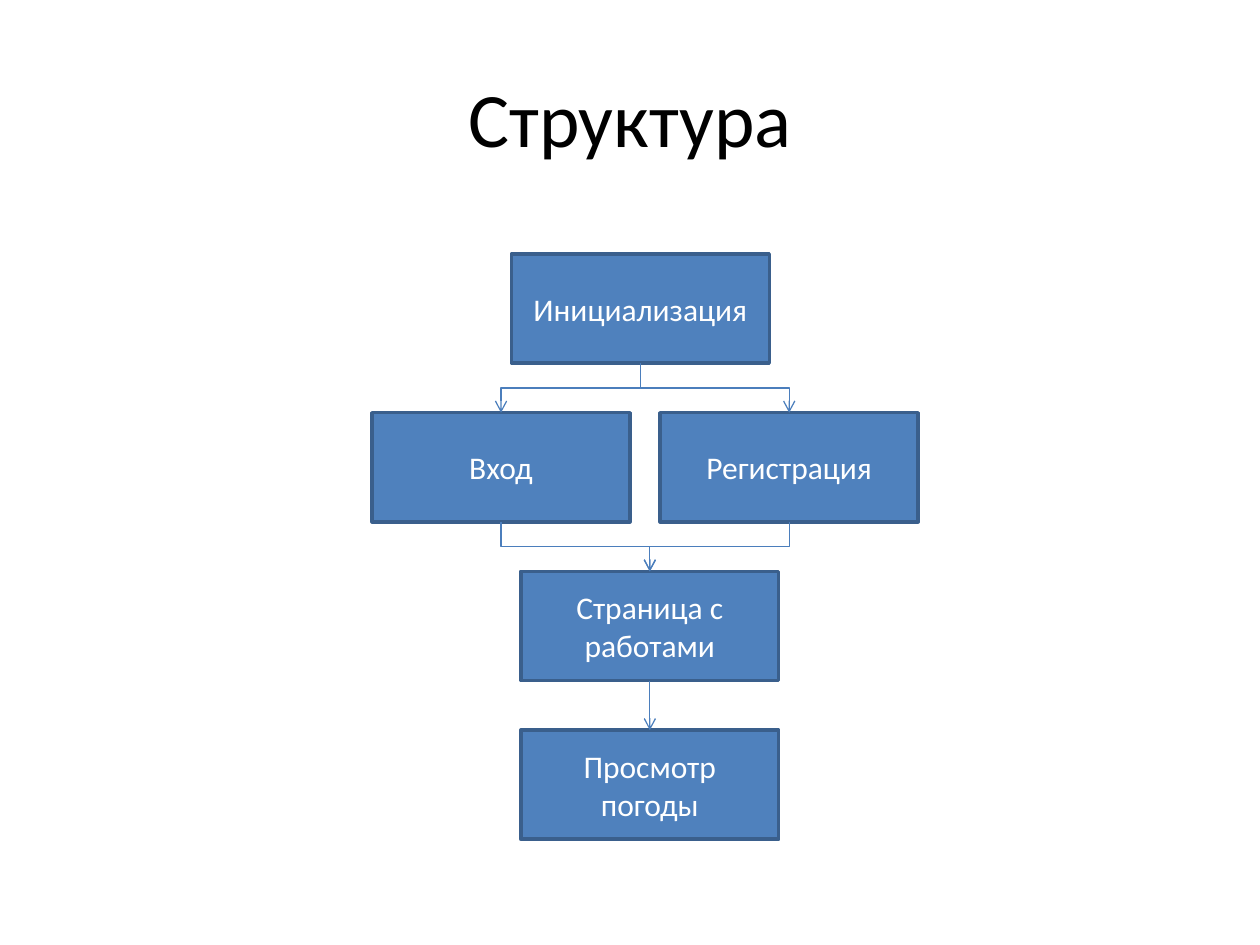
from dataclasses import dataclass

from lxml import etree
from pptx import Presentation
from pptx.dml.color import RGBColor
from pptx.enum.shapes import MSO_CONNECTOR, MSO_SHAPE
from pptx.enum.text import MSO_ANCHOR, PP_ALIGN
from pptx.oxml.ns import qn
from pptx.util import Cm, Pt

RECTANGLE = MSO_SHAPE.RECTANGLE
ELBOW = MSO_CONNECTOR.ELBOW
CENTER = PP_ALIGN.CENTER
MIDDLE = MSO_ANCHOR.MIDDLE
TOP_SIDE, BOTTOM_SIDE = 0, 2
TITLE_ONLY = 5

BOX_WIDTH, BOX_HEIGHT = 5.2, 2.2
FIRST_ROW, ROW_STEP = 5.12, 3.2


@dataclass(frozen=True)
class Theme:
    font: str = "Calibri"
    title_size: int = 44
    box_size: int = 18
    title_color: str = "000000"
    box_text: str = "FFFFFF"
    box_fill: str = "4F81BD"
    box_border: str = "3A5F8C"
    arrow: str = "4B7EBC"
    border_width: float = 2
    arrow_width: float = 0.75


def write_text(frame, text, *, font, size, color):
    frame.word_wrap = True
    frame.vertical_anchor = MIDDLE
    para = frame.paragraphs[0]
    para.alignment = CENTER
    span = para.add_run()
    span.text = text
    span.font.name = font
    span.font.size = Pt(size)
    span.font.color.rgb = RGBColor.from_string(color)


class FlowPage:
    def __init__(self, page, theme):
        self.page = page
        self.theme = theme

    def title(self, text):
        holder = self.page.shapes.title
        holder.left, holder.top = Cm(1.27), Cm(0.76)
        holder.width, holder.height = Cm(22.86), Cm(3.18)
        write_text(holder.text_frame, text, font=self.theme.font,
                   size=self.theme.title_size, color=self.theme.title_color)

    def box(self, text, left, row):
        theme = self.theme
        box = self.page.shapes.add_shape(
            RECTANGLE, Cm(left), Cm(FIRST_ROW + row * ROW_STEP),
            Cm(BOX_WIDTH), Cm(BOX_HEIGHT))
        box.shadow.inherit = False
        box.fill.solid()
        box.fill.fore_color.rgb = RGBColor.from_string(theme.box_fill)
        box.line.color.rgb = RGBColor.from_string(theme.box_border)
        box.line.width = Pt(theme.border_width)
        write_text(box.text_frame, text, font=theme.font,
                   size=theme.box_size, color=theme.box_text)
        return box

    def arrow(self, upper, lower):
        """Join two boxes by an elbow that leaves downwards and enters from above."""
        arrow = self.page.shapes.add_connector(ELBOW, 0, 0, 0, 0)
        arrow.begin_connect(upper, BOTTOM_SIDE)
        arrow.end_connect(lower, TOP_SIDE)
        start_x = upper.left + upper.width // 2
        start_y = upper.top + upper.height
        across = lower.left + lower.width // 2 - start_x
        down = lower.top - start_y

        # An elbow runs sideways first, so it is turned a quarter about its centre.
        arrow.width, arrow.height = down, abs(across)
        arrow.left = start_x + (across - down) // 2
        arrow.top = start_y + (down - abs(across)) // 2
        properties = arrow.element.spPr
        transform = properties.find(qn("a:xfrm"))
        goes_right = across > 0
        transform.set("rot", str((270 if goes_right else 90) * 60000))
        transform.set("flipH", str(int(goes_right)))
        transform.set("flipV", "0")

        arrow.line.color.rgb = RGBColor.from_string(self.theme.arrow)
        arrow.line.width = Pt(self.theme.arrow_width)
        line = properties.find(qn("a:ln"))
        etree.SubElement(line, qn("a:tailEnd")).set("type", "arrow")
        etree.SubElement(properties, qn("a:effectLst"))


def main():
    deck = Presentation()
    deck.slide_width, deck.slide_height = Cm(25.4), Cm(19.05)
    page = deck.slides.add_slide(deck.slide_layouts[TITLE_ONLY])
    flow = FlowPage(page, Theme())

    flow.title("Структура")
    start = flow.box("Инициализация", 10.31, 0)
    registration = flow.box("Регистрация", 13.31, 1)
    login = flow.box("Вход", 7.5, 1)
    works = flow.box("Страница с работами", 10.5, 2)
    weather = flow.box("Просмотр погоды", 10.5, 3)

    for upper, lower in ((start, login), (start, registration),
                         (registration, works), (login, works),
                         (works, weather)):
        flow.arrow(upper, lower)

    deck.save("out.pptx")


if __name__ == "__main__":
    main()
